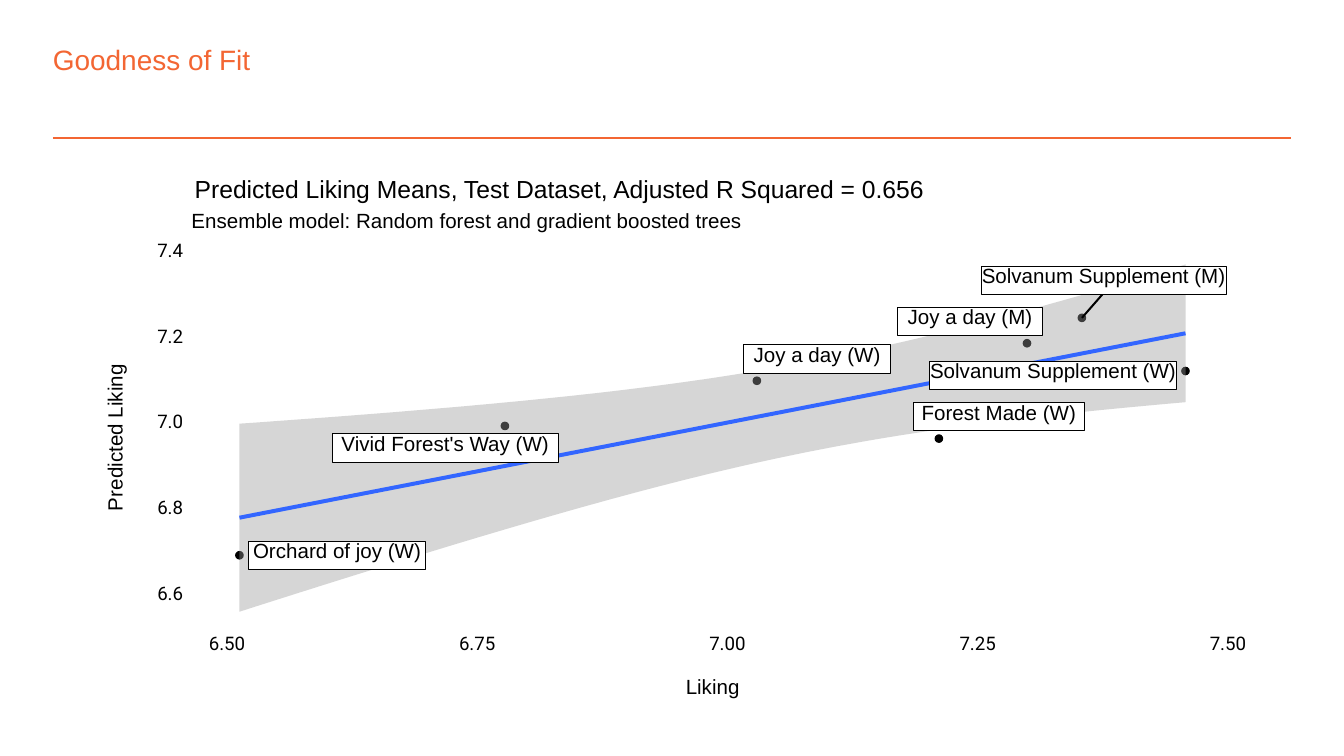
"""Build the goodness-of-fit slide: a scatter of liking means with its fit line and band."""
from math import sqrt

from lxml import etree
from pptx import Presentation
from pptx.dml.color import RGBColor
from pptx.enum.shapes import MSO_CONNECTOR, MSO_SHAPE
from pptx.enum.text import MSO_ANCHOR, PP_ALIGN
from pptx.oxml.ns import qn
from pptx.util import Pt

LINE = MSO_CONNECTOR.STRAIGHT
RECT, OVAL = MSO_SHAPE.RECTANGLE, MSO_SHAPE.OVAL
MIDDLE, CENTER = MSO_ANCHOR.MIDDLE, PP_ALIGN.CENTER


class Theme:
    accent = RGBColor(0xF3, 0x66, 0x33)
    ink = RGBColor(0, 0, 0)
    paper = RGBColor(255, 255, 255)
    band = RGBColor(0x99, 0x99, 0x99)
    fit = RGBColor(0x33, 0x66, 0xFF)
    sans, digit = "Arial", "Roboto"
    title, head, label, tick = 15, 13.2, 11, 10


def write(shape, words, size, face=Theme.sans, color=Theme.ink, foot=0):
    frame = shape.text_frame
    frame.margin_left = frame.margin_right = frame.margin_top = 0
    frame.margin_bottom = Pt(foot)
    frame.word_wrap = False
    frame.vertical_anchor = MIDDLE
    para = frame.paragraphs[0]
    para.text = words
    para.line_spacing = Pt(size)
    para.font.size = Pt(size)
    para.font.name = face
    para.font.color.rgb = color
    return para


def draw(x1, y1, x2, y2, color, width):
    line = shapes.add_connector(LINE, Pt(x1), Pt(y1), Pt(x2), Pt(y2))
    line.line.color.rgb = color
    line.line.width = Pt(width)
    etree.SubElement(line.element.spPr, qn("a:effectLst"))


deck = Presentation()
deck.slide_width, deck.slide_height = Pt(720), Pt(405)
slide = deck.slides.add_slide(deck.slide_layouts[6])
shapes = slide.shapes

draw(28.3, 74, 691.7, 74, Theme.accent, 1)
title = shapes.add_textbox(Pt(28.3), Pt(22.9), Pt(597), Pt(18))
write(title, "Goodness of Fit", Theme.title, color=Theme.accent).line_spacing = 1.0

dots = [(270.5, 228.2), (579.6, 170.3), (635.1, 198.8), (128.3, 297.5),
        (503, 235), (550.2, 183.9), (405.5, 204)]
size = 3.9
for x, y in dots:
    dot = shapes.add_shape(OVAL, Pt(x - size / 2), Pt(y - size / 2), Pt(size), Pt(size))
    dot.shadow.inherit = False
    dot.fill.solid()
    dot.fill.fore_color.rgb = Theme.ink
    dot.line.color.rgb = Theme.ink
    dot.line.width = Pt(0.71)

count = len(dots)
mid_x = sum(x for x, y in dots) / count
mid_y = sum(y for x, y in dots) / count
spread = sum((x - mid_x) ** 2 for x, y in dots)
slope = sum((x - mid_x) * (y - mid_y) for x, y in dots) / spread
error = sqrt(sum((y - mid_y - slope * (x - mid_x)) ** 2 for x, y in dots) / (count - 2))
t_value = 2.57

first, last = min(dots)[0], max(dots)[0]
steps = 79
upper, lower = [], []
for i in range(steps + 1):
    x = first + (last - first) * i / steps
    y = mid_y + slope * (x - mid_x)
    half = t_value * error * sqrt(1 / count + (x - mid_x) ** 2 / spread)
    upper.append((Pt(x), Pt(y - half)))
    lower.append((Pt(x), Pt(y + half)))
pen = shapes.build_freeform(*upper[0])
pen.add_line_segments(upper[1:] + lower[::-1], close=True)
band = pen.convert_to_shape()
band.shadow.inherit = False
band.fill.solid()
band.fill.fore_color.rgb = Theme.band
band.line.fill.background()
tint = band.element.spPr.find(qn("a:solidFill")).find(qn("a:srgbClr"))
etree.SubElement(tint, qn("a:alpha"), val="40000")

start, end = (mid_y + slope * (x - mid_x) for x in (first, last))
draw(first, start, last, end, Theme.fit, 2.13)
draw(590.6, 157.7, 579.6, 170.3, Theme.ink, 1.07)

labels = [
    ("Vivid Forest's Way (W)", 178, 232.4, 121.2),
    ("Solvanum Supplement (M)", 525.6, 142.6, 131.4),
    ("Solvanum Supplement (W)", 498, 193.5, 132.4),
    ("Orchard of joy (W)", 133.4, 290, 94.5),
    ("Forest Made (W)", 489.2, 215.7, 91.9),
    ("Joy a day (M)", 480.8, 164.6, 77.8),
    ("Joy a day (W)", 398.2, 184.7, 79),
]
for words, x, y, width in labels:
    label = shapes.add_shape(RECT, Pt(x), Pt(y), Pt(width), Pt(15.2))
    label.shadow.inherit = False
    label.fill.solid()
    label.fill.fore_color.rgb = Theme.paper
    label.line.color.rgb = Theme.ink
    label.line.width = Pt(0.53)
    write(label, words, Theme.label, foot=3).alignment = CENTER

for i in range(5):
    tick = shapes.add_textbox(Pt(84.3), Pt(315.1 - 45.95 * i), Pt(16), Pt(7.2))
    write(tick, f"{6.6 + 0.2 * i:.1f}", Theme.tick, Theme.digit)
    tick = shapes.add_textbox(Pt(111.9 + 134.05 * i), Pt(342), Pt(21.5), Pt(7.2))
    write(tick, f"{6.5 + 0.25 * i:.2f}", Theme.tick, Theme.digit)

captions = [
    ("Liking", 367.4, 363.8, 36, 10, Theme.label, 0),
    ("Predicted Liking", 19.2, 225.5, 86.5, 10, Theme.label, 270),
    ("Ensemble model: Random forest and gradient boosted trees",
     102.6, 114.2, 302, 10, Theme.label, 0),
    ("Predicted Liking Means, Test Dataset, Adjusted R Squared = 0.656",
     104.3, 96.3, 400, 12.2, Theme.head, 0),
]
for words, x, y, width, height, size, turn in captions:
    box = shapes.add_textbox(Pt(x), Pt(y), Pt(width), Pt(height))
    box.rotation = turn
    write(box, words, size)

deck.save("out.pptx")
